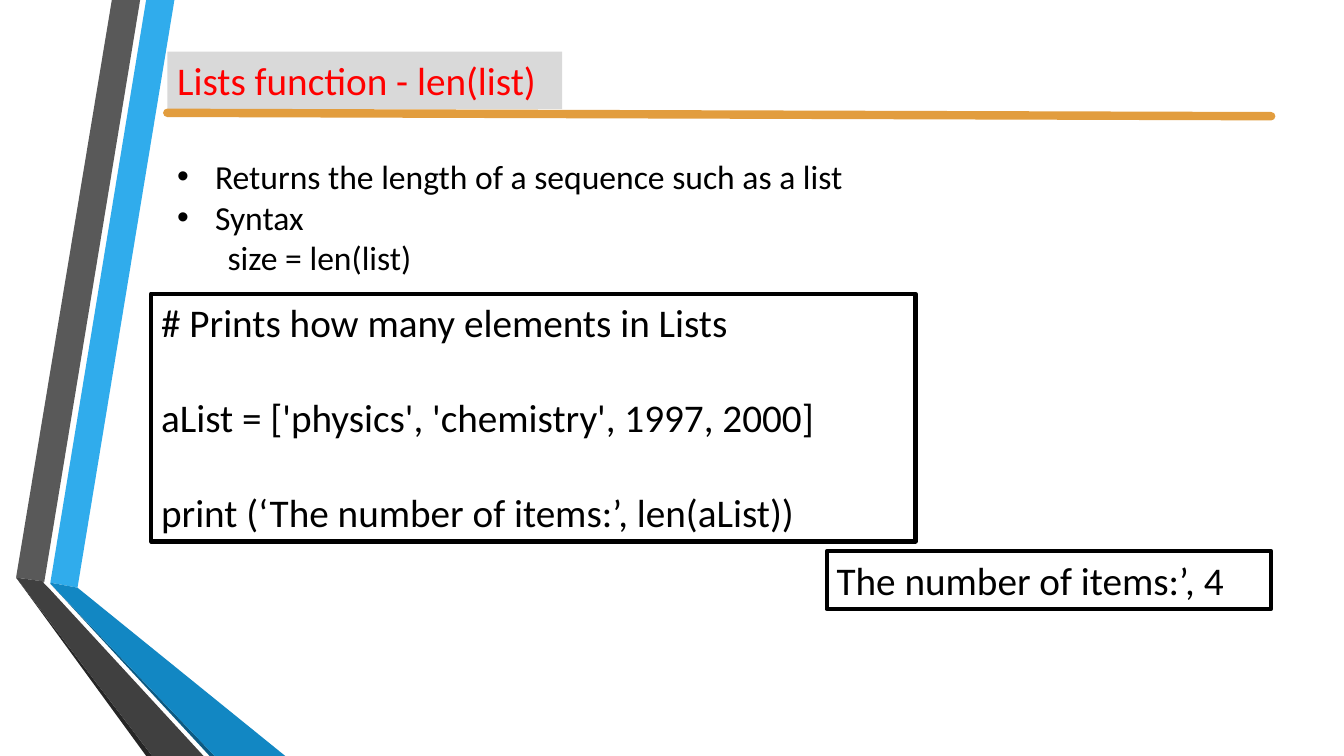
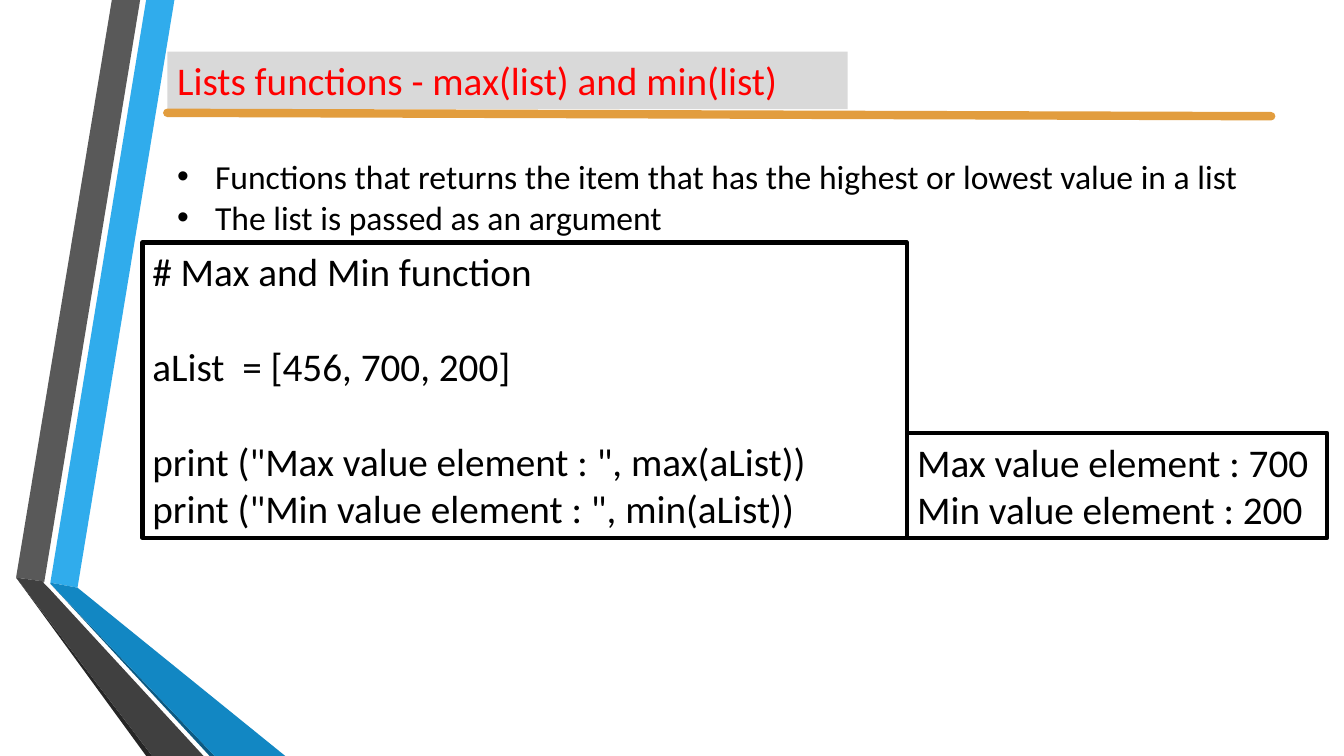
from lxml import etree
from pptx import Presentation
from pptx.dml.color import RGBColor
from pptx.enum import shapes, text
from pptx.oxml import ns
from pptx.util import Pt

COLORS = {
    "sky": "30ACEC", "gray": "595959", "shade": "262626", "navy": "0C5A82",
    "blue": "1287C3", "charcoal": "404040", "title_band": "D9D9D9",
    "title": "FF0000", "rule": "E29D3E", "ink": "000000",
}
FONT = "Calibri"
CODE_SIZE = 28
CODE_GAP = 34.2  # height of one line of code
LEFT = 119.5
BULLET_INDENT = 27

# Bent ribbons along the left edge: colour and outline
RIBBONS = [
    ("sky", [(36, 416.2), (55.4, 419.8), (124.6, 0), (104.4, 0)]),
    ("gray", [(100.1, 0), (79.9, 0), (11.5, 412.6), (31.7, 415.4)]),
    ("shade", [(11.5, 412.6), (104.4, 540), (108.7, 540)]),
    ("navy", [(36, 416.9), (149.8, 540), (153.4, 540)]),
    ("blue", [(36, 416.2), (36, 416.9), (153.4, 540), (203.8, 540), (55.4, 419.8)]),
    ("charcoal", [(145.4, 540), (34.6, 419.8), (31, 416.2), (31.7, 415.4),
                  (11.5, 412.6), (108.7, 540)]),
]


def rgb(name):
    return RGBColor.from_string(COLORS[name])


def add_ribbons(slide):
    for color, points in RIBBONS:
        corners = [(Pt(x), Pt(y)) for x, y in points]
        builder = slide.shapes.build_freeform(*corners[0])
        builder.add_line_segments(corners[1:], close=True)
        ribbon = builder.convert_to_shape()
        ribbon.shadow.inherit = False
        ribbon.fill.solid()
        ribbon.fill.fore_color.rgb = rgb(color)
        ribbon.line.fill.background()


def style(paragraph, size, color="ink"):
    paragraph.alignment = text.PP_ALIGN.LEFT
    paragraph.font.name = FONT
    paragraph.font.size = Pt(size)
    paragraph.font.color.rgb = rgb(color)


def write(frame, lines, size, color="ink"):
    """Fill a frame with one paragraph per line and return the paragraphs."""
    frame.word_wrap = True
    frame.vertical_anchor = text.MSO_ANCHOR.TOP
    paragraphs = []
    for number, line in enumerate(lines):
        paragraph = frame.add_paragraph() if number else frame.paragraphs[0]
        paragraph.text = line
        style(paragraph, size, color)
        paragraphs.append(paragraph)
    return paragraphs


def add_rectangle(slide, left, top, width, height):
    rectangle = slide.shapes.add_shape(
        shapes.MSO_SHAPE.RECTANGLE, Pt(left), Pt(top), Pt(width), Pt(height))
    rectangle.shadow.inherit = False
    return rectangle


def add_title(slide, title, width):
    band = add_rectangle(slide, LEFT, 37, width, 41)
    band.fill.solid()
    band.fill.fore_color.rgb = rgb("title_band")
    band.line.fill.background()
    write(band.text_frame, [title], 28, "title")

    # Round-ended rule under the title
    rule = slide.shapes.add_connector(
        shapes.MSO_CONNECTOR.STRAIGHT, Pt(LEFT), Pt(80.6), Pt(908), Pt(83))
    rule.line.color.rgb = rgb("rule")
    rule.line.width = Pt(6)
    properties = rule.element.spPr
    properties.find(ns.qn("a:ln")).set("cap", "rnd")
    etree.SubElement(properties, ns.qn("a:effectLst"))


def add_panel(slide, box, lines, gaps_before=()):
    """Outlined code or output; gaps_before numbers the lines set apart."""
    panel = add_rectangle(slide, *box)
    panel.fill.background()
    panel.line.color.rgb = rgb("ink")
    panel.line.width = Pt(3)
    paragraphs = write(panel.text_frame, lines, CODE_SIZE)
    for number in gaps_before:
        paragraphs[number].space_before = Pt(CODE_GAP)


def add_bullets(slide, height, bullets, example=None):
    box = slide.shapes.add_textbox(Pt(LEFT), Pt(108), Pt(817), Pt(height))
    lines = bullets + ([example] if example else [])
    for number, paragraph in enumerate(write(box.text_frame, lines, 24)):
        properties = paragraph._p.get_or_add_pPr()
        if number < len(bullets):
            properties.set("marL", str(Pt(BULLET_INDENT)))
            properties.set("indent", str(-Pt(BULLET_INDENT)))
            mark = etree.Element(ns.qn("a:buChar"), char="•")
            face = etree.Element(ns.qn("a:buFont"), typeface="Arial")
            properties.insert(0, mark)
            properties.insert(0, face)
        else:
            paragraph.level = 1
            properties.set("marL", str(Pt(36)))
            properties.set("indent", "0")


def add_lesson(deck, title, title_width):
    slide = deck.slides.add_slide(deck.slide_layouts[6])
    add_ribbons(slide)
    add_title(slide, title, title_width)
    return slide


def main():
    deck = Presentation()
    deck.slide_width, deck.slide_height = Pt(960), Pt(540)

    # Length of a list
    length = add_lesson(deck, "Lists function - len(list)", 282)
    add_panel(length, (590.5, 393.8, 317.5, 41.2), ["The number of items:’, 4"])
    add_bullets(length, 94.5,
                ["Returns the length of a sequence such as a list", "Syntax"],
                "size = len(list)")
    add_panel(length, (108, 209.8, 546, 177),
              ["# Prints how many elements in Lists",
               "aList = ['physics', 'chemistry', 1997, 2000]",
               "print (‘The number of items:’, len(aList))"],
              gaps_before=(1, 2))

    # Highest and lowest value
    extremes = add_lesson(deck, "Lists functions - max(list) and min(list)", 486)
    add_panel(extremes, (648, 309.2, 300, 75),
              ["Max value element : 700", "Min value element : 200"])
    add_bullets(extremes, 65.5,
                ["Functions that returns the item that has the highest "
                 "or lowest value in a list",
                 "The list is passed as an argument"])
    add_panel(extremes, (101.8, 173.3, 546, 211),
              ["# Max and Min function",
               "aList  = [456, 700, 200]",
               'print ("Max value element : ", max(aList))',
               'print ("Min value element : ", min(aList))'],
              gaps_before=(1, 2))

    deck.save("out.pptx")


if __name__ == "__main__":
    main()
